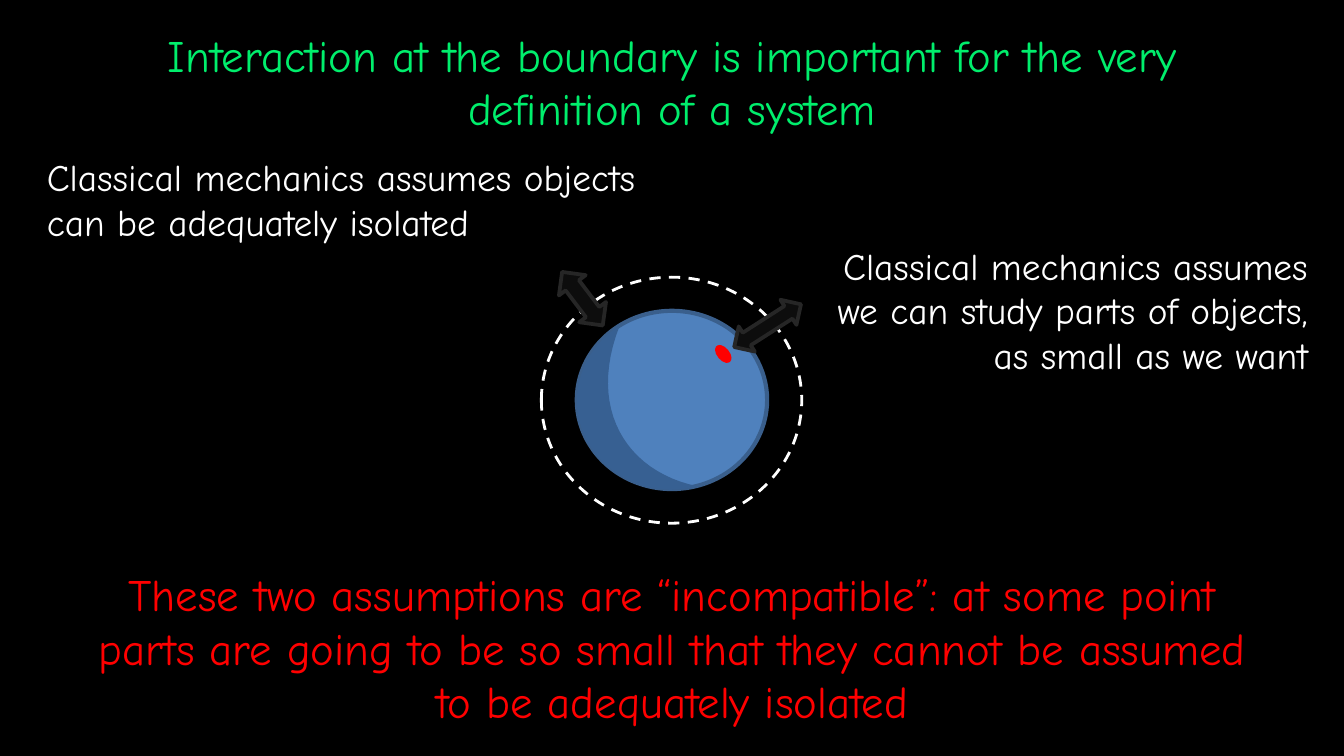
import pptx
import pptx.util
import pptx.dml.color
import pptx.enum.dml
import pptx.enum.shapes
import pptx.enum.text

Pt = pptx.util.Pt
RGBColor = pptx.dml.color.RGBColor
SHAPE = pptx.enum.shapes.MSO_SHAPE
ALIGN = pptx.enum.text.PP_ALIGN

BLACK = RGBColor(0x00, 0x00, 0x00)
WHITE = RGBColor(0xFF, 0xFF, 0xFF)
GREEN = RGBColor(0x00, 0xEE, 0x6C)
RED = RGBColor(0xFF, 0x00, 0x00)
BLUE = RGBColor(0x4F, 0x81, 0xBD)
BLUE_EDGE = RGBColor(0x3A, 0x5F, 0x8C)
BLUE_SHADE = RGBColor(0x37, 0x60, 0x92)
ARROW_FILL = RGBColor(0x0D, 0x0D, 0x0D)
ARROW_EDGE = RGBColor(0x26, 0x26, 0x26)


def paint(shape, fill, line, width=2):
    """Set fill and outline; None means no fill or no outline."""
    shape.shadow.inherit = False
    for part, color in ((shape.fill, fill), (shape.line.fill, line)):
        if color is None:
            part.background()
        else:
            part.solid()
            part.fore_color.rgb = color
    if line is not None:
        shape.line.width = Pt(width)


def curve_points(start, first, second, end, steps=24):
    """Points along a cubic curve, after its start."""
    for step in range(1, steps + 1):
        t = step / steps
        weights = ((1 - t) ** 3, 3 * t * (1 - t) ** 2, 3 * t * t * (1 - t), t ** 3)
        yield tuple(
            Pt(sum(w * p[axis] for w, p in zip(weights, (start, first, second, end))))
            for axis in (0, 1)
        )


deck = pptx.Presentation()
deck.slide_width, deck.slide_height = Pt(720), Pt(405)
page = deck.slides.add_slide(deck.slide_layouts[5])
page.background.fill.solid()
page.background.fill.fore_color.rgb = BLACK

# Sphere with a shaded left side
sphere = page.shapes.add_group_shape()
ball = sphere.shapes.add_shape(
    SHAPE.OVAL, Pt(309), Pt(166.5), Pt(102), Pt(95.5))
paint(ball, BLUE, BLUE_EDGE, 2.25)

shade_curves = [
    ((373.5, 260.5), (350, 267), (325.5, 256.5), (314.5, 236)),
    ((314.5, 236), (303, 214.5), (310.5, 188), (332, 174.5)),
    ((332, 174.5), (314.5, 219), (335.5, 252.5), (373.5, 260.5)),
]
start_x, start_y = shade_curves[0][0]
outline = sphere.shapes.build_freeform(Pt(start_x), Pt(start_y))
for curve in shade_curves:
    outline.add_line_segments(list(curve_points(*curve)), close=False)
outline.add_line_segments([], close=True)
paint(outline.convert_to_shape(), BLUE_SHADE, None)

# Small part, system boundary and interaction arrows
shapes = [
    (SHAPE.OVAL, 385.2, 185, 4.6, 9.2, -39.8, RED, RED, 2),
    (SHAPE.OVAL, 290, 148.5, 139.5, 131.8, 0, None, WHITE, 1.5),
    (SHAPE.LEFT_RIGHT_ARROW, 390, 166.5, 42.5, 16, -32.6,
     ARROW_FILL, ARROW_EDGE, 2),
    (SHAPE.LEFT_RIGHT_ARROW, 294, 151, 36, 18, 232.8,
     ARROW_FILL, ARROW_EDGE, 2),
]
for kind, left, top, width, height, angle, fill, line, weight in shapes:
    shape = page.shapes.add_shape(kind, Pt(left), Pt(top), Pt(width), Pt(height))
    shape.rotation = angle
    paint(shape, fill, line, weight)
    if fill is None:
        shape.line.dash_style = pptx.enum.dml.MSO_LINE.DASH

# Title and statements
texts = [
    ("Interaction at the boundary is important for the very definition of a system",
     (45, 11, 630, 65.5), 24, GREEN, ALIGN.CENTER),
    ("Classical mechanics assumes objects can be adequately isolated",
     (18, 79, 330, 55.5), 20, WHITE, ALIGN.LEFT),
    ("Classical mechanics assumes we can study parts of objects, "
     "as small as we want",
     (426, 126.5, 282, 80), 20, WHITE, ALIGN.RIGHT),
    ("These two assumptions are “incompatible”: at some point parts are going "
     "to be so small that they cannot be assumed to be adequately isolated",
     (45, 300, 630, 94.5), 24, RED, ALIGN.CENTER),
]
frame_format = {
    "word_wrap": True,
    "auto_size": pptx.enum.text.MSO_AUTO_SIZE.NONE,
    "vertical_anchor": pptx.enum.text.MSO_ANCHOR.TOP,
}
for index, (words, place, size, color, align) in enumerate(texts):
    left, top, width, height = map(Pt, place)
    if index == 0:
        box = page.shapes.title
        box.left, box.top, box.width, box.height = left, top, width, height
    else:
        box = page.shapes.add_textbox(left, top, width, height)
    for name, value in frame_format.items():
        setattr(box.text_frame, name, value)
    para = box.text_frame.paragraphs[0]
    para.alignment = align
    span = para.add_run()
    span.text = words
    for name, value in {"name": "Comic Neue", "size": Pt(size)}.items():
        setattr(span.font, name, value)
    span.font.color.rgb = color

deck.save("out.pptx")
